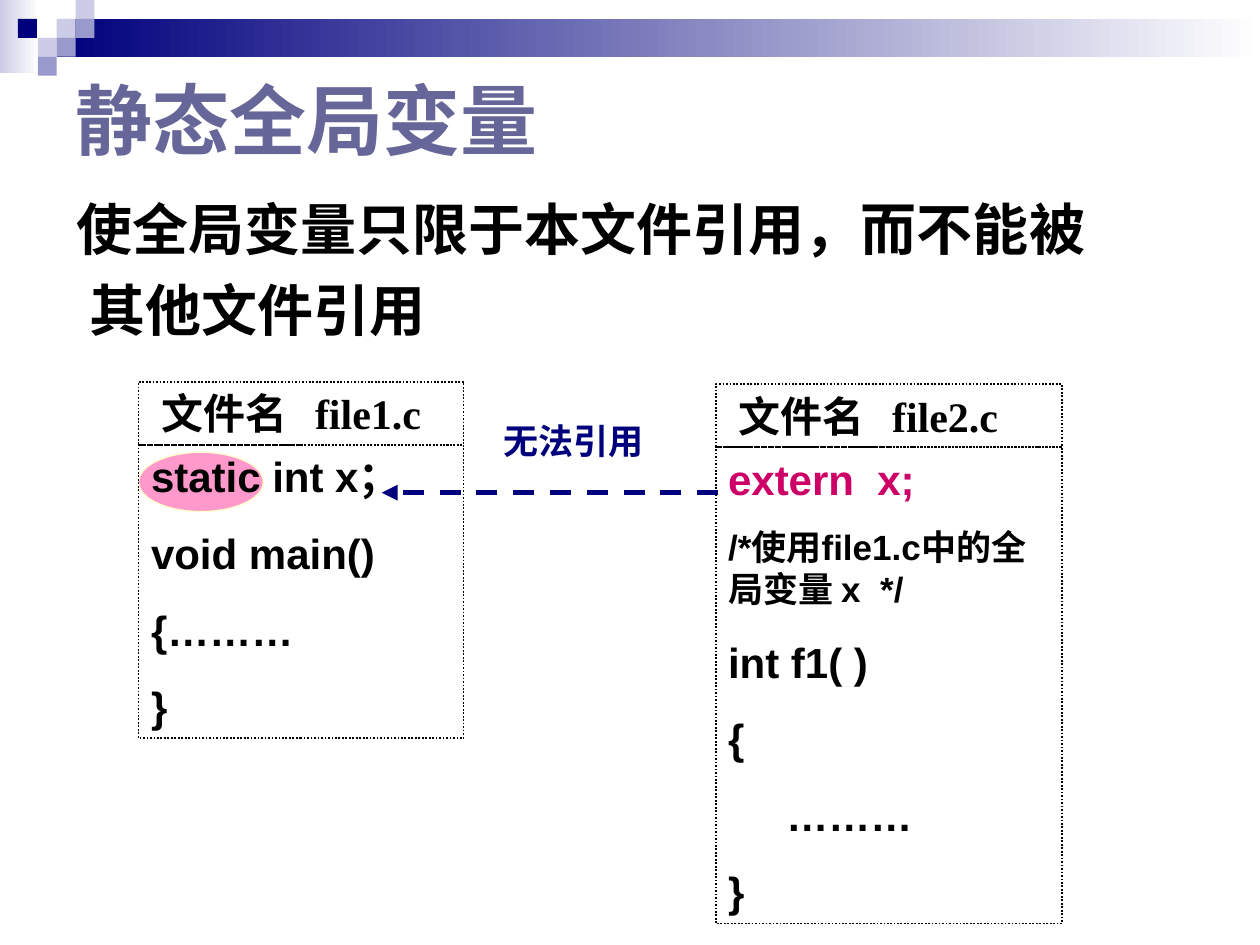
import pptx
import pptx.util
import pptx.dml.color
import pptx.enum.dml
import pptx.enum.shapes
import pptx.enum.text
import pptx.oxml.ns
from dataclasses import dataclass
from lxml import etree

Inches = pptx.util.Inches
Pt = pptx.util.Pt
Shape = pptx.enum.shapes.MSO_SHAPE
Dash = pptx.enum.dml.MSO_LINE
qn = pptx.oxml.ns.qn


@dataclass(frozen=True)
class Theme:
    navy: str = "00007D"
    mid: str = "9999CC"
    pale: str = "CCCCE6"
    white: str = "FFFFFF"
    black: str = "000000"
    title: str = "666699"
    pink: str = "FF99CC"
    cream: str = "FFFFCC"
    red: str = "CC0066"
    sans: str = "Arial"
    serif: str = "Times New Roman"
    han: str = "Noto Sans CJK SC"
    huge: int = 44
    large: int = 32
    code: int = 24
    small: int = 20


T = Theme()


def rgb(hue):
    return pptx.dml.color.RGBColor.from_string(hue)


def add_box(slide, box, kind=Shape.RECTANGLE, fill=None, line=None):
    """Add a plain shape; a pair of colours as fill makes a gradient."""
    shape = slide.shapes.add_shape(kind, *map(Inches, box))
    shape.shadow.inherit = False
    if isinstance(fill, tuple):
        shape.fill.gradient()
        shape.fill.gradient_angle = 0
        for stop, hue, place in zip(shape.fill.gradient_stops, fill, (0, 1)):
            stop.color.rgb = rgb(hue)
            stop.position = place
    elif fill:
        shape.fill.solid()
        shape.fill.fore_color.rgb = rgb(fill)
    else:
        shape.fill.background()
    if line:
        shape.line.color.rgb = rgb(line)
    else:
        shape.line.fill.background()
    return shape


def set_text(shape, lines, face, gap=0, left=0.1):
    """Fill a shape with (text, size, colour) lines."""
    frame = shape.text_frame
    frame.word_wrap = True
    frame.vertical_anchor = pptx.enum.text.MSO_ANCHOR.TOP
    frame.margin_left = Inches(left)
    frame.text = "\n".join(text for text, _, _ in lines)
    for i, (para, (_, size, hue)) in enumerate(zip(frame.paragraphs, lines)):
        para.alignment = pptx.enum.text.PP_ALIGN.LEFT
        if i:
            para.space_before = Pt(size * gap)
        for run in para.runs:
            run.font.size = Pt(size)
            run.font.bold = True
            run.font.name = face
            run.font.color.rgb = rgb(hue)
            east = etree.Element(qn("a:ea"), typeface=T.han)
            run.font._element.find(qn("a:latin")).addnext(east)
    return frame


def add_text(slide, box, line, face):
    return set_text(slide.shapes.add_textbox(*map(Inches, box)), [line], face)


def add_band(slide, box):
    """Draw the top band: two gradients and a mosaic of squares."""
    x, y, wide, _ = box
    side = 0.15
    add_box(slide, (x, y, 0.31, 0.58), fill=(T.pale, T.white))
    add_box(slide, (x + 0.45, y + side, wide - 0.45, 2 * side),
            fill=(T.navy, T.white))
    tiles = [(3, 1, T.pale), (4, 0, T.pale), (4, 1, T.mid), (2, 2, T.pale),
             (0.95, 1, T.navy), (3, 2, T.mid), (2, 3, T.mid)]
    for col, row, hue in tiles:
        add_box(slide, (x + col * side, y + row * side, side, side), fill=hue)


def add_file(slide, box, name, code):
    """Draw a file: a name cell above a code cell."""
    x, y, wide, high = box
    head = 0.5
    top = add_box(slide, (x, y, wide, head), line=T.black)
    body = add_box(slide, (x, y + head, wide, high - head), line=T.black)
    for cell in (top, body):
        cell.line.width = Pt(1)
        cell.line.dash_style = Dash.ROUND_DOT
    frame = set_text(top, [("文件名\t" + name, T.code, T.black)], T.serif,
                     left=0.18)
    props = frame.paragraphs[0]._p.get_or_add_pPr()
    tabs = etree.SubElement(props, qn("a:tabLst"))
    etree.SubElement(tabs, qn("a:tab"), pos=str(Inches(1.22)), algn="l")
    set_text(body, code, T.sans, gap=0.625)


def add_arrow(slide, start, end):
    line = slide.shapes.add_connector(
        pptx.enum.shapes.MSO_CONNECTOR.STRAIGHT,
        *map(Inches, start + end))
    line.line.color.rgb = rgb(T.navy)
    line.line.width = Pt(3)
    line.line.dash_style = Dash.DASH
    etree.SubElement(line.line._get_or_add_ln(), qn("a:tailEnd"),
                     type="triangle")
    etree.SubElement(line._element.spPr, qn("a:effectLst"))


def add_lead(slide, box):
    frame = add_text(slide, box, (
        "使全局变量只限于本文件引用，而不能被其他文件引用",
        T.large, T.black), T.sans)
    para = frame.paragraphs[0]
    para.line_spacing = 1.2
    props = para._p.get_or_add_pPr()
    props.set("marL", str(Inches(0.1)))
    props.set("indent", str(Inches(-0.1)))


def add_title(slide, box):
    frame = add_text(slide, box, ("静态全局变量", T.huge, T.title), T.serif)
    frame.vertical_anchor = pptx.enum.text.MSO_ANCHOR.MIDDLE


def main():
    deck = pptx.Presentation()
    deck.slide_width, deck.slide_height = Inches(10), Inches(7.5)
    slide = deck.slides.add_slide(deck.slide_layouts[6])
    add_band(slide, (0, 0, 10, 0.6))
    add_title(slide, (0.5, 0.5, 5.37, 0.89))
    add_lead(slide, (0.51, 1.39, 8.58, 1.73))
    mark = add_box(slide, (1.1, 3.59, 0.99, 0.47), Shape.OVAL, T.pink, T.cream)
    mark.line.width = Pt(0.75)
    add_file(slide, (1.1, 3.03, 2.58, 2.83), "file1.c", [
        (text, T.code, T.black)
        for text in ("static int x；", "void main()", "{………", "}")])
    add_file(slide, (5.68, 3.05, 2.75, 4.28), "file2.c", [
        ("extern  x;", T.code, T.red),
        ("/*使用file1.c中的全局变量 x  */", T.small, T.black),
        *((text, T.code, T.black)
          for text in ("int f1( )", "{", "     ………", "}"))])
    add_text(slide, (3.9, 3.28, 1.58, 0.44),
             ("无法引用", T.small, T.navy), T.han)
    add_arrow(slide, (5.7, 3.91), (3.03, 3.91))
    deck.save("out.pptx")


if __name__ == "__main__":
    main()
